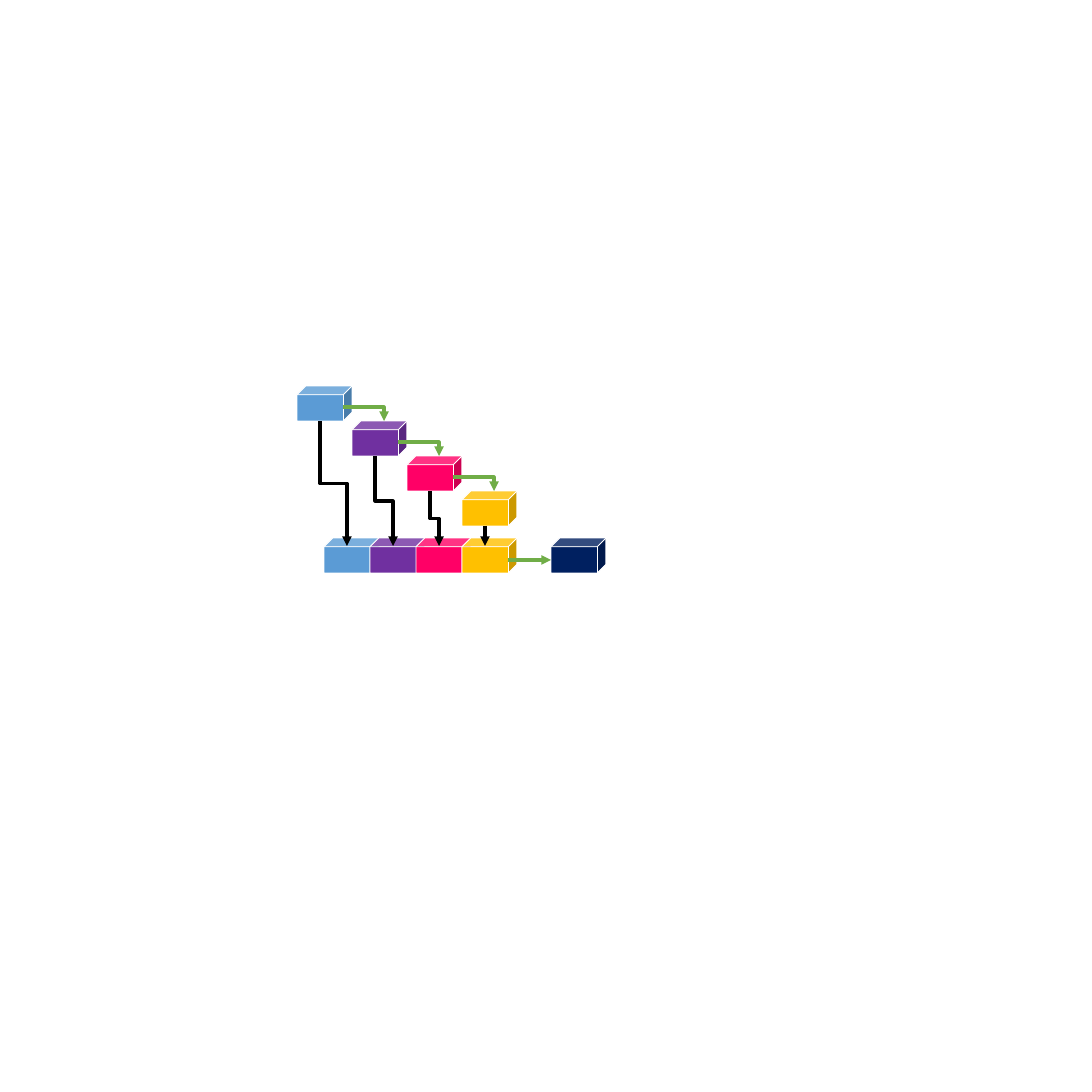
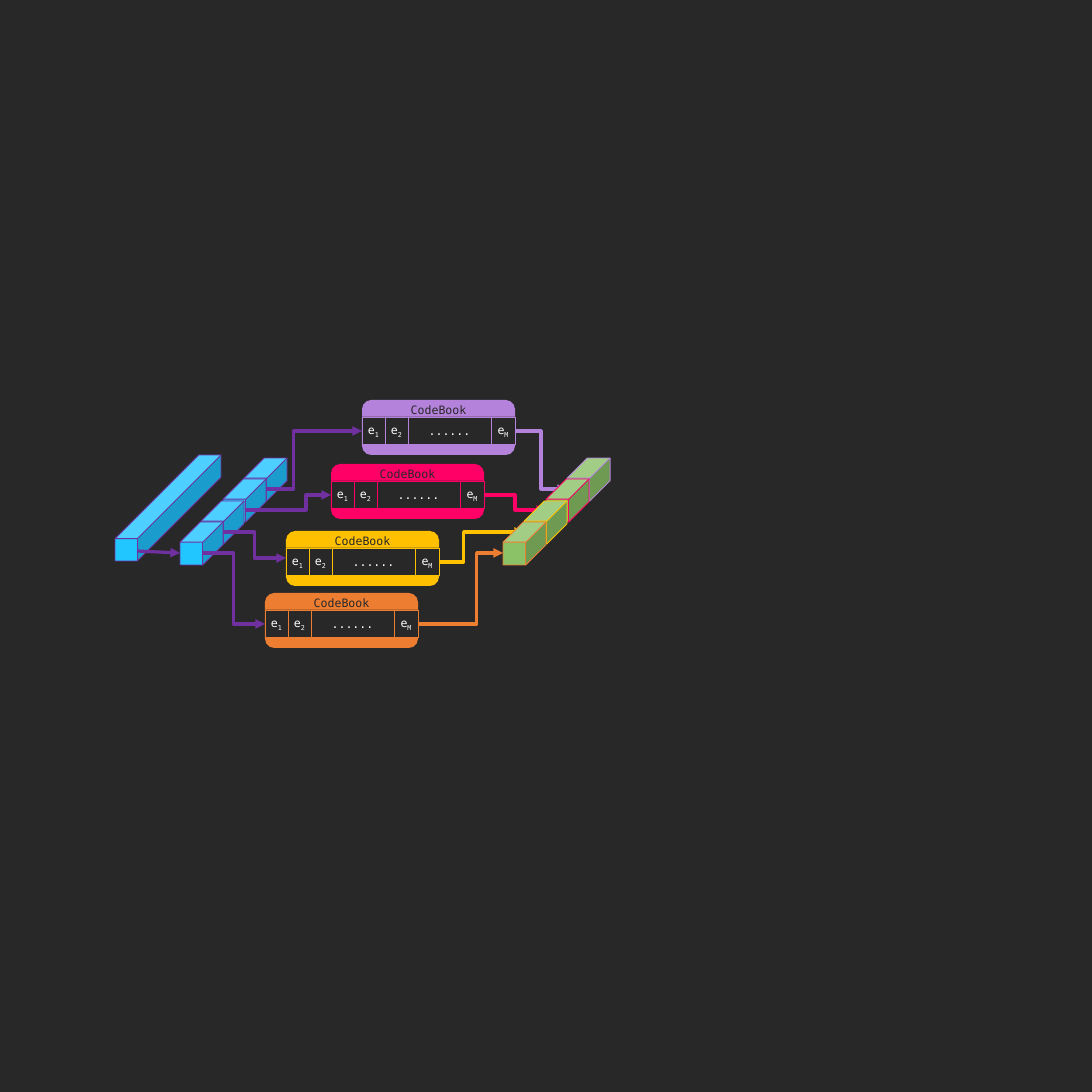
from dataclasses import dataclass

from pptx import Presentation
from pptx.dml.color import RGBColor
from pptx.enum.shapes import MSO_CONNECTOR as LINK, MSO_SHAPE as SHAPE
from pptx.enum.text import MSO_ANCHOR as ANCHOR, PP_ALIGN as ALIGN
from pptx.oxml.ns import qn
from pptx.util import Emu, Pt

EMU_PER_PIXEL = 19780
SLIDE_SIDE = 1092
FONT = "DejaVu Sans Mono"
COLORS = {
    "white": "FFFFFF", "black": "000000", "dark": "282828",
    "blue": "5B9BD5", "purple": "7030A0", "pink": "FF0066",
    "gold": "FFC000", "navy": "002060", "green": "70AD47",
    "lilac": "B482DA", "orange": "ED7D31", "sky": "21C5FF", "leaf": "8BC167",
}

BOX_W, BOX_H, BOX_FRONT = 55, 35, 46
BLOCK, BLOCK_DEPTH, BLOCK_MIDDLE = 43, 0.47, 31
BOOK_W, BOOK_H, BOOK_MIDDLE = 153, 55, 31
CELLS = (("e", "1", 23), ("e", "2", 23), ("......", "", 83), ("e", "M", 24))


@dataclass
class Lane:
    """One codebook with its colours, place and connector bends."""
    color: str
    frame: str
    left: int
    top: int
    entry_y: int
    entry_bend: float
    exit_bend: float


LANES = (
    Lane("lilac", "pink", 362, 400, 431, 0.29, 0.5),
    Lane("pink", "pink", 331, 464, 495, 0.71, 0.5),
    Lane("gold", "gold", 286, 531, 558, 0.5, 0.29),
    Lane("orange", "orange", 265, 593, 624, 0.5, 0.69),
)


def px(*lengths):
    """Turn pixels into EMU."""
    return [Emu(round(length * EMU_PER_PIXEL)) for length in lengths]


def rgb(name):
    """Look up a named colour."""
    return RGBColor.from_string(COLORS[name])


def add_slide(deck, background):
    """Add a blank slide with a solid background."""
    slide = deck.slides.add_slide(deck.slide_layouts[6])
    slide.background.fill.solid()
    slide.background.fill.fore_color.rgb = rgb(background)
    return slide


def add_block(shapes, kind, box, fill, line=None, width=1.5):
    """Add a filled preset shape with an optional outline."""
    block = shapes.add_shape(kind, *px(*box))
    block.shadow.inherit = False
    block.fill.solid()
    block.fill.fore_color.rgb = rgb(fill)
    if line:
        block.line.color.rgb = rgb(line)
        block.line.width = Pt(width)
    else:
        block.line.fill.background()
    return block


def add_cube(shapes, left, top, size, depth, fill, line):
    """Add a cube with the given depth ratio."""
    cube = add_block(shapes, SHAPE.CUBE, (left, top, *size), fill, line)
    cube.adjustments[0] = depth


def write(holder, text, color, subscript=""):
    """Write one centred line with an optional subscript."""
    frame = holder.text_frame
    frame.word_wrap = True
    frame.vertical_anchor = ANCHOR.MIDDLE
    line = frame.paragraphs[0]
    line.alignment = ALIGN.CENTER
    line.font.name = FONT
    line.font.size = Pt(18)
    line.font.color.rgb = rgb(color)
    line.add_run().text = text
    if subscript:
        index = line.add_run()
        index.text = subscript
        index._r.get_or_add_rPr().set("baseline", "-25000")


def add_arrow(shapes, start, end, color, kind=LINK.STRAIGHT):
    """Add a thick connector that ends in a triangle."""
    arrow = shapes.add_connector(kind, *px(*start, *end))
    arrow.line.color.rgb = rgb(color)
    arrow.line.width = Pt(5)
    properties = arrow._element.spPr
    outline = properties.find(qn("a:ln"))
    head = outline.makeelement(qn("a:tailEnd"), {"type": "triangle"})
    outline.append(head)
    properties.append(properties.makeelement(qn("a:effectLst"), {}))
    return properties


def add_step(shapes, start, end, color, bend):
    """Add an arrow that runs across, bends twice and runs across again."""
    properties = add_arrow(shapes, start, end, color, LINK.ELBOW)
    guides = properties.find(qn("a:prstGeom")).get_or_add_avLst()
    formula = f"val {round(bend * 100000)}"
    guides.append(guides.makeelement(qn("a:gd"), {"name": "adj1", "fmla": formula}))


def add_corner(shapes, start, end, color):
    """Add an arrow that runs across and turns down once."""
    properties = add_arrow(shapes, start, end, color, LINK.ELBOW)
    properties.find(qn("a:prstGeom")).set("prst", "bentConnector2")


def add_drop(shapes, start, end, color):
    """Add an arrow that runs down, sidesteps halfway if needed, and runs on."""
    (x1, y1), (x2, y2) = start, end
    if x1 == x2:
        add_arrow(shapes, start, end, color)
        return
    middle_x, middle_y = (x1 + x2) / 2, (y1 + y2) / 2
    half_run, half_shift = (y2 - y1) / 2, (x2 - x1) / 2
    properties = add_arrow(
        shapes, (middle_x + half_run, middle_y - half_shift),
        (middle_x - half_run, middle_y + half_shift), color, LINK.ELBOW)
    properties.find(qn("a:xfrm")).set("rot", "16200000")


def add_codebook(slide, lane):
    """Add a grouped codebook with its title and row of entries."""
    book = slide.shapes.add_group_shape().shapes
    left, top = lane.left, lane.top
    row_top, row_height = top + 17, 27
    add_block(book, SHAPE.ROUNDED_RECTANGLE, (left, top, BOOK_W, BOOK_H), lane.color)
    add_block(book, SHAPE.RECTANGLE, (left, row_top, BOOK_W, row_height),
              "dark", lane.frame, 1)
    title = book.add_textbox(*px(left, top - 2, BOOK_W, 23))
    write(title, "CodeBook", "dark")
    for text, subscript, width in CELLS:
        cell = add_block(book, SHAPE.RECTANGLE, (left, row_top, width, row_height),
                         "dark", lane.color, 1)
        write(cell, text, "white", subscript)
        left += width


def add_block_row(slide, right, top, fill, lines):
    """Add a diagonal row of cubes from back to front and return their corners."""
    row = slide.shapes.add_group_shape().shapes
    corners = []
    for place, line in enumerate(lines):
        shift = round(place * 64 / 3)
        corner = (right - shift, top + shift)
        add_cube(row, *corner, (BLOCK, BLOCK), BLOCK_DEPTH, fill, line)
        corners.append(corner)
    return corners


def build_stairs(deck):
    """Build the slide where a staircase of boxes feeds one row."""
    shapes = add_slide(deck, "white").shapes
    colors = ("blue", "purple", "pink", "gold")
    size, row_top = (BOX_W, BOX_H), 538
    stairs = [(297 + BOX_W * step, 386 + BOX_H * step) for step in range(len(colors))]
    row = [324 + BOX_FRONT * place for place in range(len(colors))]
    for (left, top), color in zip(stairs, colors):
        add_cube(shapes, left, top, size, 0.25, color, "white")
    for left, top in stairs[:-1]:
        add_corner(shapes, (left + BOX_FRONT, top + 21), (left + 87, top + BOX_H), "green")
    for left, color in zip(row, colors):
        add_cube(shapes, left, row_top, size, 0.25, color, "white")
    for (left, top), target in zip(stairs, row):
        add_drop(shapes, (left + 23, top + BOX_H), (target + 23, row_top + 8), "black")
    result_left, row_middle = 551, row_top + 22
    add_cube(shapes, result_left, row_top, size, 0.25, "navy", "white")
    add_arrow(shapes, (row[-1] + BOX_FRONT, row_middle), (result_left, row_middle), "green")


def build_codebooks(deck):
    """Build the slide where split blocks pass through four codebooks."""
    slide = add_slide(deck, "dark")
    shapes = slide.shapes
    output_right, rows_top = 567, 458
    for place, lane in enumerate(LANES):
        shift = round(place * 64 / 3)
        add_step(shapes, (lane.left + BOOK_W, lane.top + BOOK_MIDDLE),
                 (output_right - shift, rows_top + shift + BLOCK_MIDDLE),
                 lane.color, lane.exit_bend)
    add_block_row(slide, output_right, rows_top, "leaf", [lane.color for lane in LANES])
    add_cube(shapes, 115, 455, (106, 106), 0.79, "sky", "purple")
    add_arrow(shapes, (137, 551), (180, 553), "purple")
    inputs = add_block_row(slide, 244, rows_top, "sky", ["purple"] * len(LANES))
    for lane, (left, top) in zip(LANES, inputs):
        add_codebook(slide, lane)
        add_step(shapes, (left + 22, top + BLOCK_MIDDLE), (lane.left, lane.entry_y),
                 "purple", lane.entry_bend)


def main():
    """Build and save both slides."""
    deck = Presentation()
    deck.slide_width, deck.slide_height = px(SLIDE_SIDE, SLIDE_SIDE)
    build_stairs(deck)
    build_codebooks(deck)
    deck.save("out.pptx")


main()
